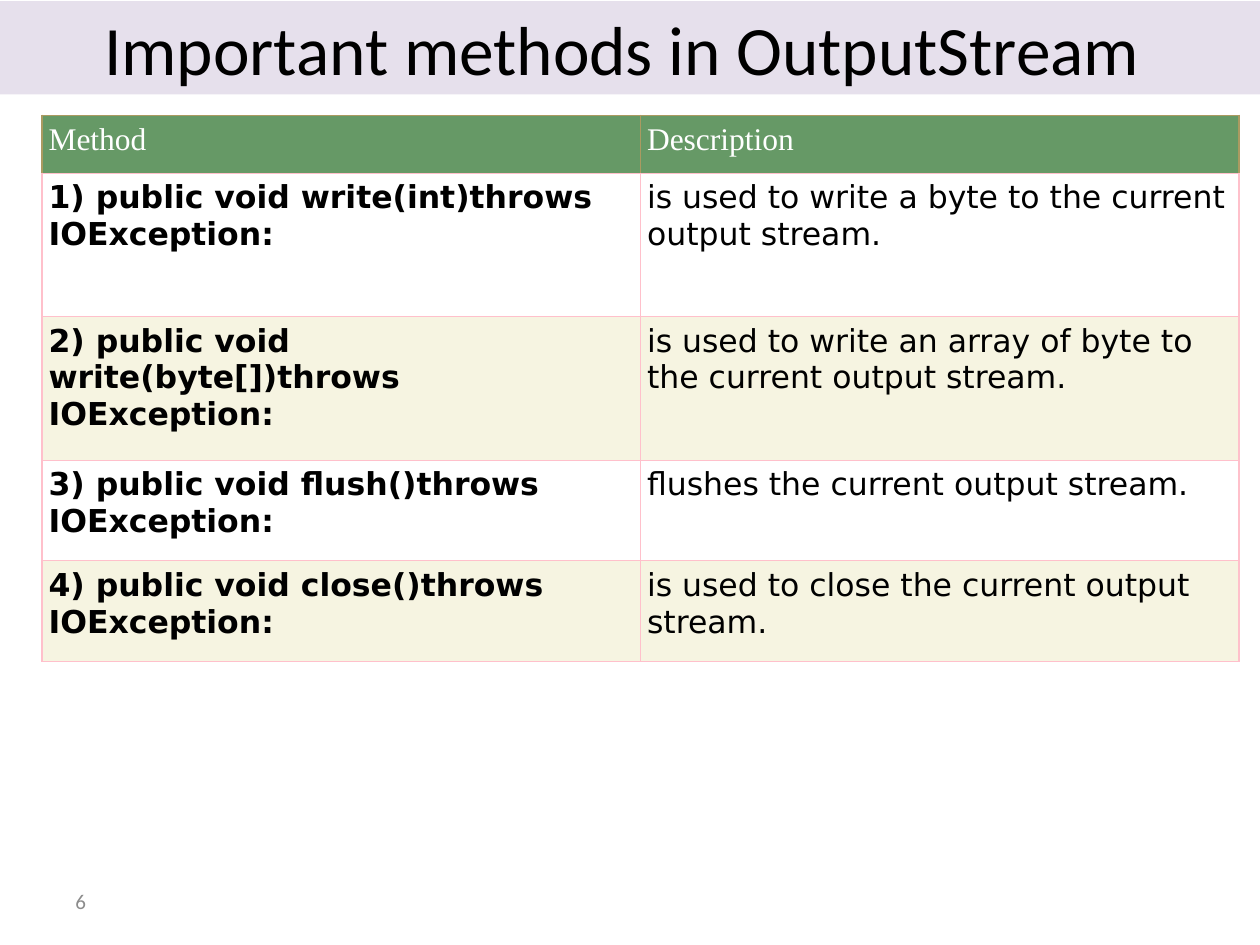
from lxml import etree
from pptx import Presentation
from pptx.dml.color import RGBColor
from pptx.enum.shapes import MSO_SHAPE
from pptx.enum.text import MSO_ANCHOR, PP_ALIGN
from pptx.oxml.ns import qn
from pptx.util import Pt

RECTANGLE = MSO_SHAPE.RECTANGLE
MIDDLE = MSO_ANCHOR.MIDDLE
LEFT, CENTER = PP_ALIGN.LEFT, PP_ALIGN.CENTER

COLORS = {
    "band": "E6E0EC", "text": "000000", "number": "8C8C8C",
    "header": "669966", "header_text": "FFFFFF", "header_line": "AB9A61",
    "line": "FFC0CB", "odd": "FFFFFF", "even": "F6F4E1",
}
HEADINGS = ("Method", "Description")
METHODS = [
    ("1) public void write(int)throws IOException:",
     "is used to write a byte to the current output stream."),
    ("2) public void write(byte[])throws IOException:",
     "is used to write an array of byte to the current output stream."),
    ("3) public void flush()throws IOException:",
     "flushes the current output stream."),
    ("4) public void close()throws IOException:",
     "is used to close the current output stream."),
]
ROW_HEIGHTS = (33, 82, 82, 57.5, 57.5)
COLUMN_WIDTH = 342


def write_text(frame, text, font="Calibri", size=18, color="text", bold=False, align=LEFT):
    frame.word_wrap = True
    paragraph = frame.paragraphs[0]
    paragraph.alignment = align
    run = paragraph.add_run()
    run.text = text
    run.font.name = font
    run.font.size = Pt(size)
    run.font.bold = bold
    run.font.color.rgb = RGBColor.from_string(COLORS[color])


class SlideBuilder:
    """Holds the palette and the current slide, and draws each kind of element."""

    def __init__(self, slide, colors):
        self.slide = slide
        self.colors = colors

    def fill(self, target, color):
        target.fill.solid()
        target.fill.fore_color.rgb = RGBColor.from_string(self.colors[color])

    def title_band(self, text, left, top, width, height):
        shape = self.slide.shapes.add_shape(
            RECTANGLE, Pt(left), Pt(top), Pt(width), Pt(height))
        shape.shadow.inherit = False
        shape.line.fill.background()
        self.fill(shape, "band")
        shape.text_frame.vertical_anchor = MIDDLE
        write_text(shape.text_frame, text, size=39.6, align=CENTER)

    def text_box(self, text, left, top, width, height, **text_format):
        shape = self.slide.shapes.add_textbox(Pt(left), Pt(top), Pt(width), Pt(height))
        shape.text_frame.vertical_anchor = MIDDLE
        write_text(shape.text_frame, text, **text_format)

    def border(self, cell, side, color, width):
        properties = cell._tc.get_or_add_tcPr()
        line = etree.SubElement(properties, qn(f"a:ln{side}"), w=str(Pt(width)))
        solid = etree.SubElement(line, qn("a:solidFill"))
        etree.SubElement(solid, qn("a:srgbClr"), val=self.colors[color])

    def cell(self, cell, text, fill, is_header, **text_format):
        cell.margin_left = cell.margin_right = Pt(3.75)
        cell.margin_top = cell.margin_bottom = Pt(3.75)
        for side in "LRTB":
            if is_header and side != "B":
                self.border(cell, side, "header_line", 1)
            else:
                self.border(cell, side, "line", 0.75)
        self.fill(cell, fill)
        write_text(cell.text_frame, text, **text_format)

    def table(self, headings, rows, left, top, column_width, row_heights):
        table = self.slide.shapes.add_table(
            len(row_heights), len(headings), Pt(left), Pt(top),
            Pt(column_width * len(headings)), Pt(sum(row_heights))).table
        table.first_row = table.horz_banding = False
        for column in table.columns:
            column.width = Pt(column_width)
        for row, height in zip(table.rows, row_heights):
            row.height = Pt(height)
        for index, heading in enumerate(headings):
            self.cell(table.cell(0, index), heading, "header", True,
                      font="Times New Roman", color="header_text")
        for row_index, row in enumerate(rows, start=1):
            fill = "odd" if row_index % 2 else "even"
            for index, text in enumerate(row):
                self.cell(table.cell(row_index, index), text, fill, False,
                          font="DejaVu Sans", bold=index == 0)


def main():
    presentation = Presentation()
    presentation.slide_width, presentation.slide_height = Pt(720), Pt(540)
    slide = presentation.slides.add_slide(presentation.slide_layouts[6])
    builder = SlideBuilder(slide, COLORS)
    builder.title_band("Important methods in OutputStream ", 0, 0.72, 720, 53.28)
    builder.text_box("6", 36, 500.5, 168, 28.75, size=12, color="number")
    builder.table(HEADINGS, METHODS, 24, 66, COLUMN_WIDTH, ROW_HEIGHTS)
    presentation.save("out.pptx")


if __name__ == "__main__":
    main()
